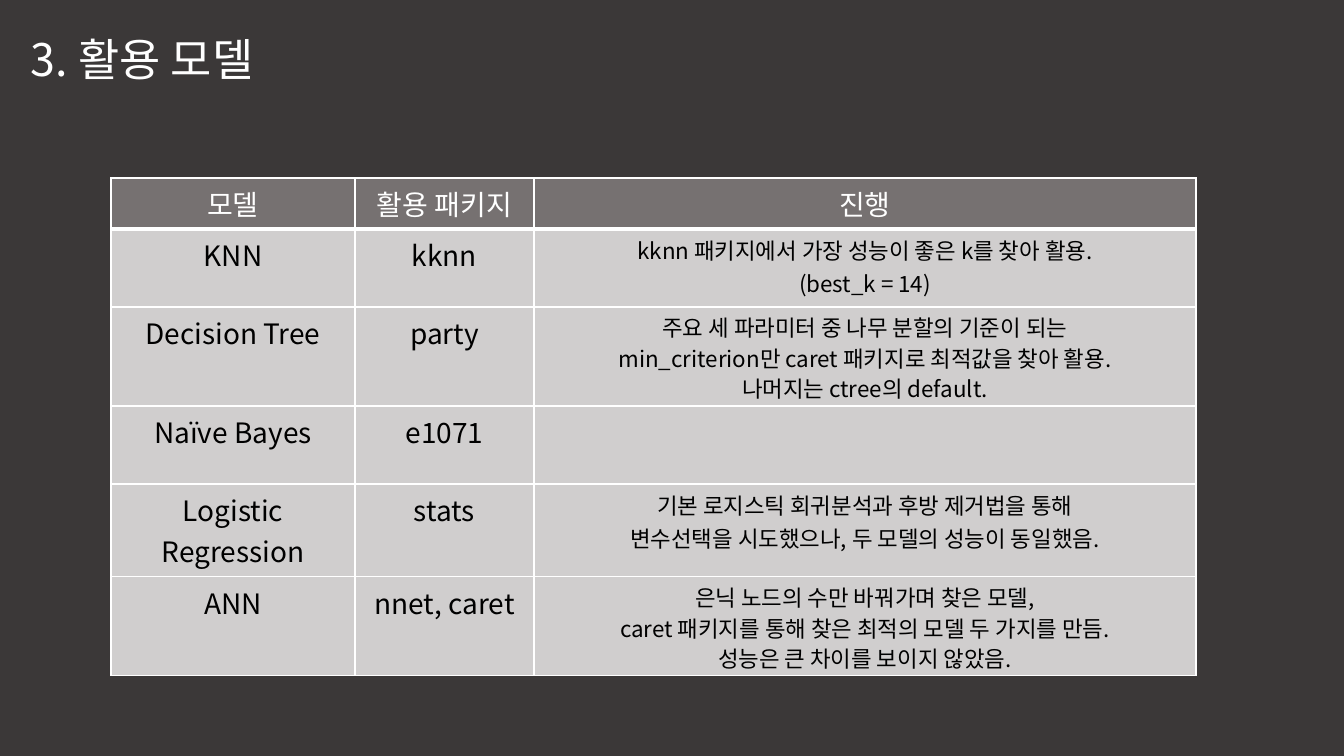
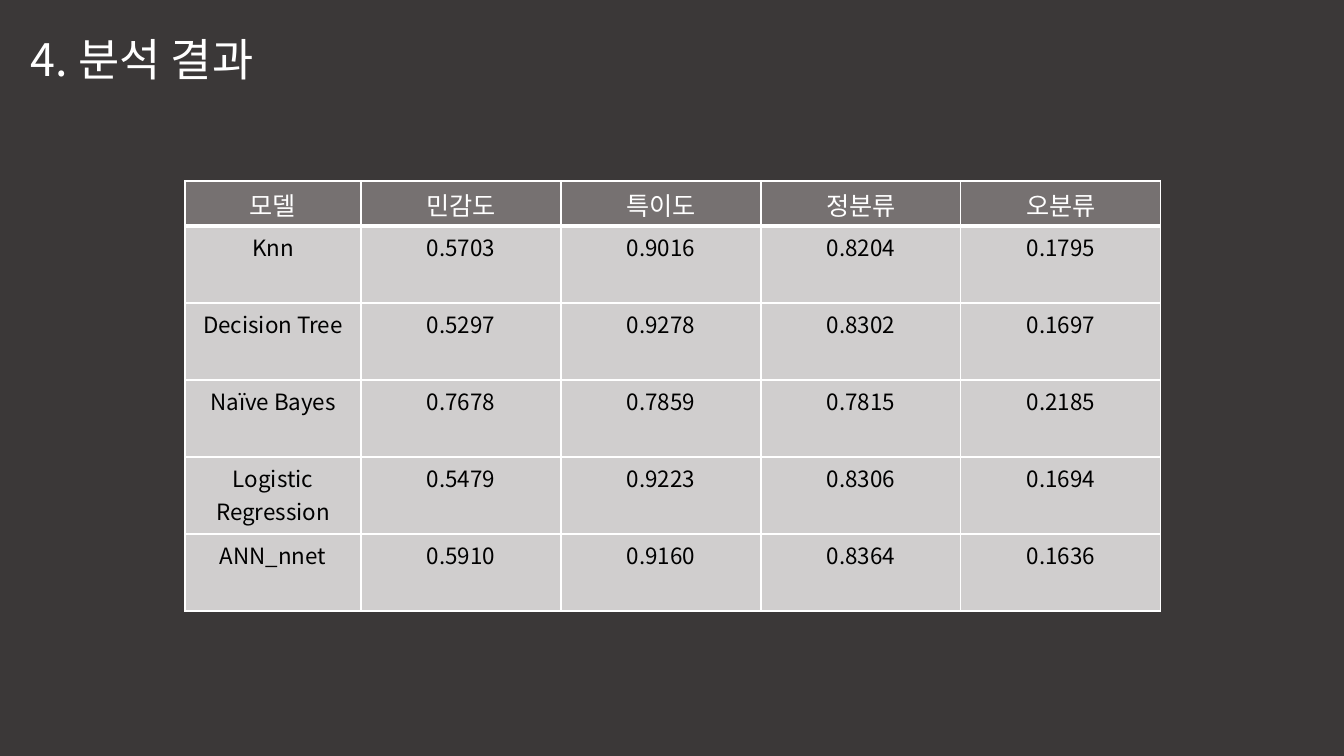
from dataclasses import dataclass

from lxml.etree import SubElement
from pptx import Presentation
from pptx.dml.color import RGBColor
from pptx.enum.text import MSO_AUTO_SIZE as AutoSize, MSO_VERTICAL_ANCHOR as Anchor, PP_ALIGN as Align
from pptx.oxml.ns import qn
from pptx.slide import Slide
from pptx.table import _Cell as Cell
from pptx.text.text import TextFrame
from pptx.util import Emu, Pt

PIXELS_PER_INCH = 100.8
FONT = "Noto Sans CJK KR"
COLORS = {
    "background": "3B3838",
    "header": "767171",
    "body": "D0CECE",
    "light": "FFFFFF",
    "dark": "000000",
}
THIN, THICK = 1, 3
TIGHT_SPACING = 0.95
TITLE_SPACING = 0.82


@dataclass(frozen=True)
class ModelTable:
    left: int
    top: int
    columns: tuple[int, ...]
    heights: tuple[int, ...]
    header_size: int
    body_sizes: tuple[int, ...]
    rows: tuple[tuple[str, ...], ...]


@dataclass(frozen=True)
class Section:
    title: str
    models: ModelTable


def px(pixels: int) -> Emu:
    return Emu(round(pixels * 914400 / PIXELS_PER_INCH))


def color(key: str) -> RGBColor:
    return RGBColor.from_string(COLORS[key])


def write(frame: TextFrame, text: str, size: int, ink: str, align: Align, spacing: float = 1) -> None:
    frame.text = text
    for paragraph in frame.paragraphs:
        paragraph.alignment = align
        if spacing != 1:
            paragraph.line_spacing = spacing
        for run in paragraph.runs:
            run.font.size = Pt(size)
            run.font.color.rgb = color(ink)
            run.font.name = FONT
            SubElement(run.font._element, qn("a:ea"), typeface=FONT)


def set_borders(cell: Cell, top: int, bottom: int) -> None:
    properties = cell._tc.get_or_add_tcPr()
    sides = (("a:lnL", THIN), ("a:lnR", THIN), ("a:lnT", top), ("a:lnB", bottom))
    for side, width in sides:
        border = SubElement(properties, qn(side), w=str(Pt(width)))
        fill = SubElement(border, qn("a:solidFill"))
        SubElement(fill, qn("a:srgbClr"), val=COLORS["light"])


def draw_title(slide: Slide, title: str) -> None:
    heading = slide.shapes.add_textbox(px(21), px(31), px(243), px(65)).text_frame
    heading.word_wrap = True
    heading.auto_size = AutoSize.NONE
    heading.margin_top = px(10)
    write(heading, title, 32, "light", Align.LEFT, TITLE_SPACING)


def draw_models(slide: Slide, models: ModelTable) -> None:
    grid = slide.shapes.add_table(
        len(models.rows), len(models.columns), px(models.left), px(models.top),
        px(sum(models.columns)), px(sum(models.heights)),
    ).table
    for column, width in zip(grid.columns, models.columns):
        column.width = px(width)
    for row, height in zip(grid.rows, models.heights):
        row.height = px(height)
    for r, texts in enumerate(models.rows):
        is_header = r == 0
        for c, text in enumerate(texts):
            cell = grid.cell(r, c)
            cell.vertical_anchor = Anchor.TOP
            cell.margin_bottom = 0
            set_borders(cell, THICK if r == 1 else THIN, THICK if is_header else THIN)
            cell.fill.solid()
            cell.fill.fore_color.rgb = color("header" if is_header else "body")
            write(
                cell.text_frame, text,
                models.header_size if is_header else models.body_sizes[c],
                "light" if is_header else "dark", Align.CENTER,
                TIGHT_SPACING if text.count("\n") == 2 else 1,
            )


SECTIONS = (
    Section("3. 활용 모델", ModelTable(
        left=111, top=178,
        columns=(244, 179, 662),
        heights=(51, 78, 99, 78, 93, 99),
        header_size=20, body_sizes=(20, 20, 16),
        rows=(
            ("모델", "활용 패키지", "진행"),
            ("KNN", "kknn", "kknn 패키지에서 가장 성능이 좋은 k를 찾아 활용.\n(best_k = 14)"),
            ("Decision Tree", "party",
             "주요 세 파라미터 중 나무 분할의 기준이 되는\n"
             "min_criterion만 caret 패키지로 최적값을 찾아 활용.\n"
             "나머지는 ctree의 default."),
            ("Naïve Bayes", "e1071", ""),
            ("Logistic Regression", "stats",
             "기본 로지스틱 회귀분석과 후방 제거법을 통해\n"
             "변수선택을 시도했으나, 두 모델의 성능이 동일했음."),
            ("ANN", "nnet, caret",
             "은닉 노드의 수만 바꿔가며 찾은 모델,\n"
             "caret 패키지를 통해 찾은 최적의 모델 두 가지를 만듬.\n"
             "성능은 큰 차이를 보이지 않았음."),
        ),
    )),
    Section("4. 분석 결과", ModelTable(
        left=185, top=181,
        columns=(176,) + (200,) * 4,
        heights=(45,) + (77,) * 5,
        header_size=18, body_sizes=(16,) * 5,
        rows=(
            ("모델", "민감도", "특이도", "정분류", "오분류"),
            ("Knn", "0.5703", "0.9016", "0.8204", "0.1795"),
            ("Decision Tree", "0.5297", "0.9278", "0.8302", "0.1697"),
            ("Naïve Bayes", "0.7678", "0.7859", "0.7815", "0.2185"),
            ("Logistic\vRegression", "0.5479", "0.9223", "0.8306", "0.1694"),
            ("ANN_nnet", "0.5910", "0.9160", "0.8364", "0.1636"),
        ),
    )),
)


def main() -> None:
    deck = Presentation()
    deck.slide_width, deck.slide_height = px(1344), px(756)
    for section in SECTIONS:
        slide = deck.slides.add_slide(deck.slide_layouts[6])
        slide.background.fill.solid()
        slide.background.fill.fore_color.rgb = color("background")
        draw_models(slide, section.models)
        draw_title(slide, section.title)
    deck.save("out.pptx")


main()
